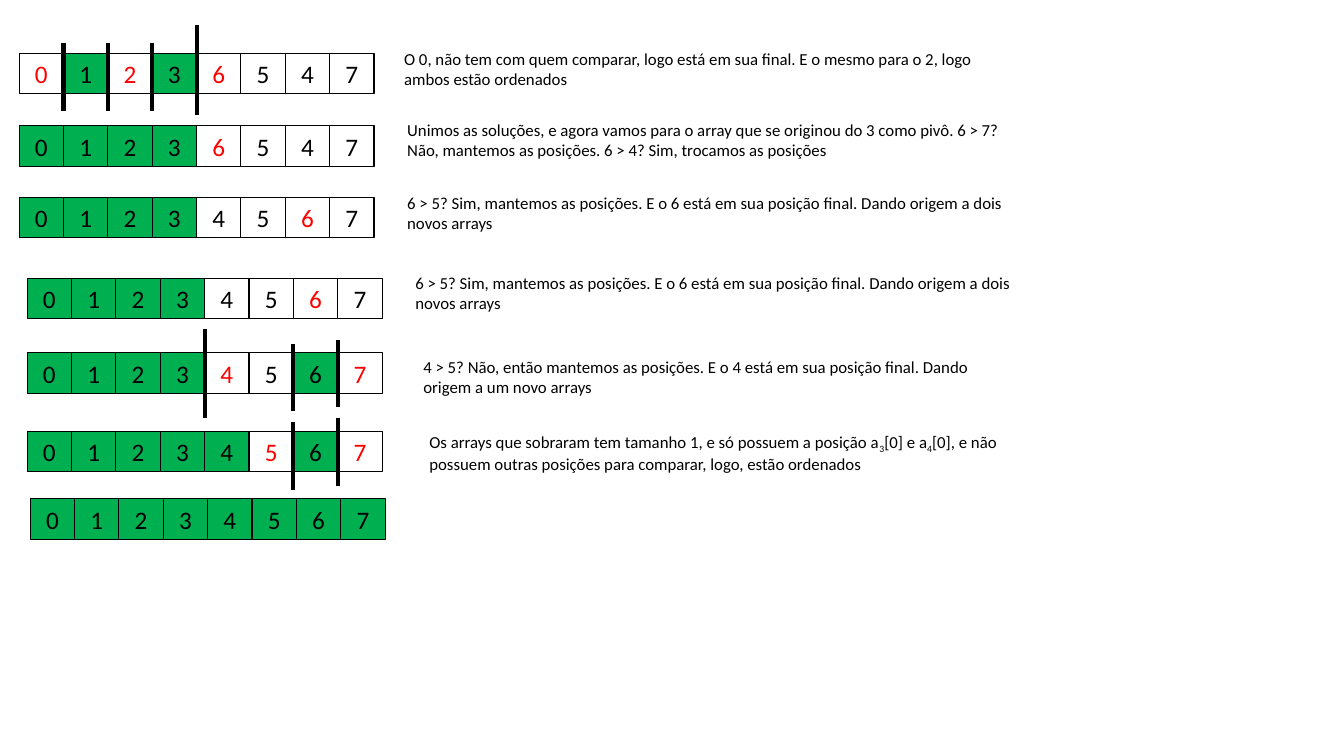
from pptx import Presentation
from pptx.dml.color import RGBColor
from pptx.enum.shapes import MSO_CONNECTOR, MSO_SHAPE
from pptx.enum.text import MSO_ANCHOR, MSO_AUTO_SIZE, PP_ALIGN
from pptx.util import Inches, Pt
from lxml.etree import SubElement
from pptx.oxml.ns import qn

COLORS = {"sorted": "00B050", "pivot": "FF0000", "ink": "000000"}
FONT = "Calibri"
CELL_W, CELL_H = 0.44, 0.4
NOTE_W, NOTE_H = 6.12, 0.5
SHORT, LONG = 0.67, 0.89

# left, top, digits, sorted digits, pivot digits
ARRAYS = [
    (0.19, 0.53, "01236547", "13", "026"),
    (0.19, 1.25, "01236547", "0123", "6"),
    (0.19, 1.96, "01234567", "0123", "6"),
    (0.27, 2.76, "01234567", "0123", "6"),
    (0.27, 3.5, "01234567", "01236", "47"),
    (0.27, 4.28, "01234567", "012346", "57"),
    (0.3, 4.95, "01234567", "01234567", ""),
]

# array index, cells to the left of the divider, top, length
DIVIDERS = [
    (0, 1, 0.43, SHORT), (0, 2, 0.43, SHORT), (0, 3, 0.43, SHORT), (0, 4, 0.25, LONG),
    (4, 4, 3.26, LONG), (4, 7, 3.37, SHORT), (4, 6, 3.41, SHORT),
    (5, 7, 4.15, SHORT), (5, 6, 4.19, SHORT),
]

# left, top, pieces of text; every second piece is a subscript
NOTES = [
    (3.91, 0.43, ["O 0, não tem com quem comparar, logo está em sua final. "
                  "E o mesmo para o 2, logo ambos estão ordenados"]),
    (3.94, 1.14, ["Unimos as soluções, e agora vamos para o array que se originou do 3 como pivô. "
                  "6 > 7? Não, mantemos as posições. 6 > 4? Sim, trocamos as posições"]),
    (3.94, 1.86, ["6 > 5? Sim, mantemos as posições. E o 6 está em sua posição final. "
                  "Dando origem a dois novos arrays"]),
    (4.02, 2.66, ["6 > 5? Sim, mantemos as posições. E o 6 está em sua posição final. "
                  "Dando origem a dois novos arrays"]),
    (4.1, 3.49, ["4 > 5? Não, então mantemos as posições. E o 4 está em sua posição final. "
                 "Dando origem a um novo arrays"]),
    (4.16, 4.23, ["Os arrays que sobraram tem tamanho 1, e só possuem a posição a", "3",
                  "[0] e a", "4",
                  "[0], e não possuem outras posições para comparar, logo, estão ordenados"]),
]


def rgb(name):
    return RGBColor.from_string(COLORS[name])


def set_font(p, size, color):
    p.font.name, p.font.size = FONT, Pt(size)
    p.font.color.rgb = rgb(color)


def add_array(s, left, top, digits, done, pivots):
    group = s.shapes.add_group_shape()
    for i, digit in enumerate(digits):
        sp = group.shapes.add_shape(MSO_SHAPE.RECTANGLE, Inches(left + i * CELL_W), Inches(top),
                                    Inches(CELL_W), Inches(CELL_H))
        sp.shadow.inherit = False
        if digit in done:
            sp.fill.solid()
            sp.fill.fore_color.rgb = rgb("sorted")
        else:
            sp.fill.background()
        sp.line.color.rgb = rgb("ink")
        sp.line.width = Pt(0.75)
        tf = sp.text_frame
        tf.vertical_anchor = MSO_ANCHOR.MIDDLE
        p = tf.paragraphs[0]
        p.text, p.alignment = digit, PP_ALIGN.CENTER
        set_font(p, 18, "pivot" if digit in pivots else "ink")


def add_divider(s, x, top, length):
    line = s.shapes.add_connector(MSO_CONNECTOR.STRAIGHT, Inches(x), Inches(top),
                                  Inches(x), Inches(top + length))
    line.line.color.rgb = rgb("ink")
    line.line.width = Pt(3)
    SubElement(line._element.spPr, qn("a:effectLst"))


def add_note(s, left, top, pieces):
    tf = s.shapes.add_textbox(Inches(left), Inches(top), Inches(NOTE_W), Inches(NOTE_H)).text_frame
    tf.word_wrap = True
    tf.auto_size = MSO_AUTO_SIZE.SHAPE_TO_FIT_TEXT
    p = tf.paragraphs[0]
    set_font(p, 12, "ink")
    for i, piece in enumerate(pieces):
        r = p.add_run()
        r.text = piece
        if i % 2:
            r._r.get_or_add_rPr().set("baseline", "-25000")


def main():
    prs = Presentation()
    prs.slide_width, prs.slide_height = Inches(13.33), Inches(7.5)
    s = prs.slides.add_slide(prs.slide_layouts[6])
    for array in ARRAYS:
        add_array(s, *array)
    for row, cells, top, length in DIVIDERS:
        add_divider(s, ARRAYS[row][0] + cells * CELL_W, top, length)
    for note in NOTES:
        add_note(s, *note)
    prs.save("out.pptx")


if __name__ == "__main__":
    main()
